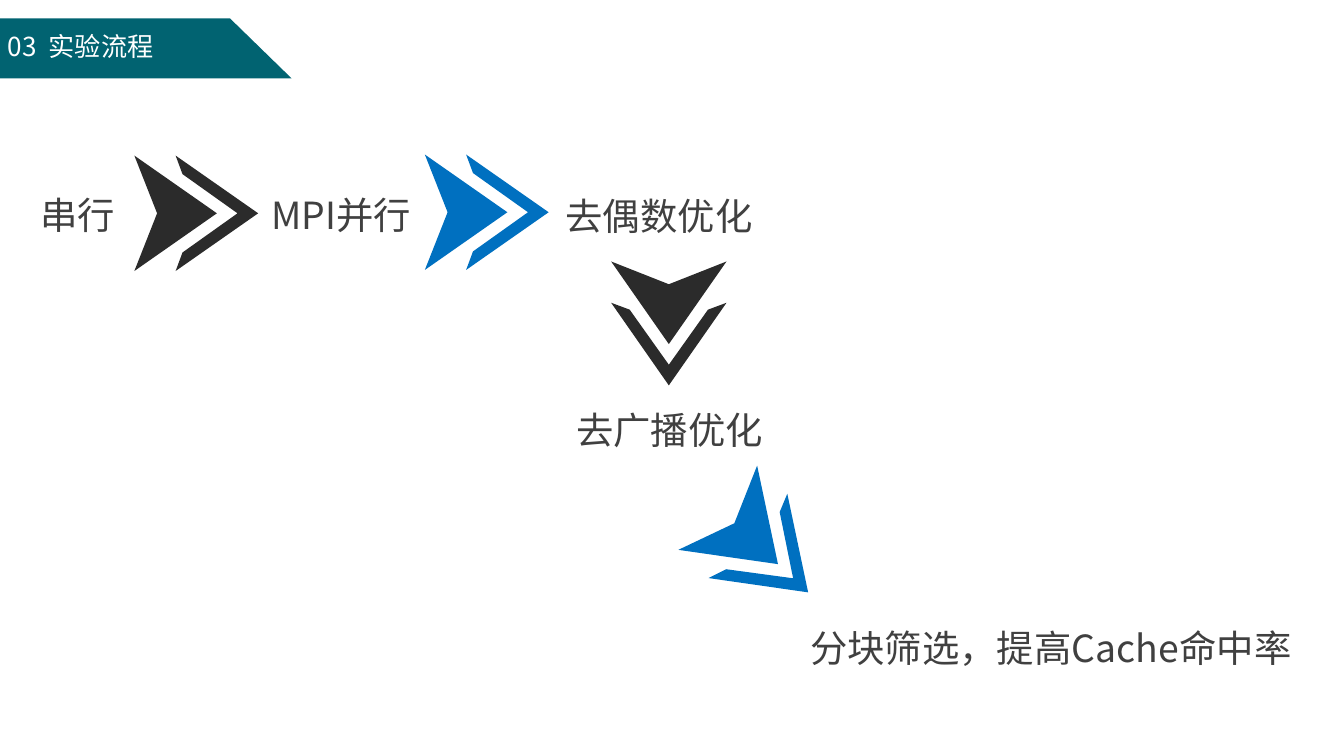
from math import cos, radians, sin

from lxml.etree import SubElement
from pptx import Presentation
from pptx.dml.color import RGBColor
from pptx.enum.text import MSO_ANCHOR as Anchor, MSO_AUTO_SIZE as AutoSize
from pptx.oxml.ns import qn
from pptx.util import Cm, Pt

# Content, lengths in cm
FONT = "Noto Sans CJK SC"
TEAL, DARK, BLUE, GREY, WHITE = "016371", "2B2B2B", "0070C0", "404040", "FFFFFF"

HEADING = "03  实验流程"
BANNER = [(0, 0.35), (4.35, 0.35), (5.51, 1.48), (0, 1.48)]

STEPS = [  # wording, left, top, width
    ("串行", -0.23, 3.56, 4.19),
    ("MPI并行", 4.14, 3.56, 4.19),
    ("去偶数优化", 9.7, 3.58, 4.8),
    ("去广播优化", 9.9, 7.63, 4.8),
    ("分块筛选，提高Cache命中率", 14.32, 11.75, 11.4),
]
STEP_HEIGHT, STEP_INDENT = 0.91, 0.99

ARROWS = [  # centre x, centre y, direction in degrees, colour
    (3.71, 4.03, 0, DARK),
    (9.2, 4.01, 0, BLUE),
    (12.64, 6.11, 90, DARK),
    (14.42, 10.39, 43.1, BLUE),
]
# Right-pointing arrow parts, each drawn around its own centre
HEAD = [(-0.78, -1.09), (0.78, 0), (-0.78, 1.09), (-0.35, 0)]
CHEVRON = [(-0.78, -1.09), (-0.65, -0.74), (0.39, 0),
           (-0.65, 0.74), (-0.78, 1.09), (0.78, 0)]
PART_SHIFT = 0.39  # from the arrow centre to each part's centre

prs = Presentation()
prs.slide_width, prs.slide_height = Cm(25.4), Cm(14.28)
slide = prs.slides.add_slide(prs.slide_layouts[6])


def rgb(color):
    return RGBColor.from_string(color)


def add_outline(points, color, x=0, y=0, angle=0):
    corners = [(Cm(px), Cm(py)) for px, py in points]
    builder = slide.shapes.build_freeform(*corners[0])
    builder.add_line_segments(corners[1:], close=True)
    outline = builder.convert_to_shape(Cm(x), Cm(y))
    outline.rotation = angle
    outline.shadow.inherit = False
    outline.fill.solid()
    outline.fill.fore_color.rgb = rgb(color)
    outline.line.fill.background()


def add_text(wording, left, top, width, height, size, color):
    box = slide.shapes.add_textbox(Cm(left), Cm(top), Cm(width), Cm(height))
    run = box.text_frame.paragraphs[0].add_run()
    run.text = wording
    run.font.name, run.font.size = FONT, Pt(size)
    run.font.color.rgb = rgb(color)
    SubElement(run.font._element, qn("a:ea"), typeface=FONT)
    return box.text_frame


# Heading banner
add_outline(BANNER, TEAL)
heading = add_text(HEADING, -0.1, 0.45, 5.21, 0.86, 14, WHITE)
heading.word_wrap = True
heading.auto_size = AutoSize.SHAPE_TO_FIT_TEXT

# Step labels, each box wide enough for one line
for wording, left, top, width in STEPS:
    label = add_text(wording, left, top, width, STEP_HEIGHT, 20, GREY)
    label.word_wrap = False
    label.vertical_anchor = Anchor.BOTTOM
    label.margin_left = Cm(STEP_INDENT)
    label.margin_top = label.margin_right = label.margin_bottom = 0

# Double arrows: the parts lie either side of the centre, along the direction
for x, y, angle, color in ARROWS:
    dx = PART_SHIFT * cos(radians(angle))
    dy = PART_SHIFT * sin(radians(angle))
    add_outline(HEAD, color, x - dx, y - dy, angle)
    add_outline(CHEVRON, color, x + dx, y + dy, angle)

prs.save("out.pptx")
